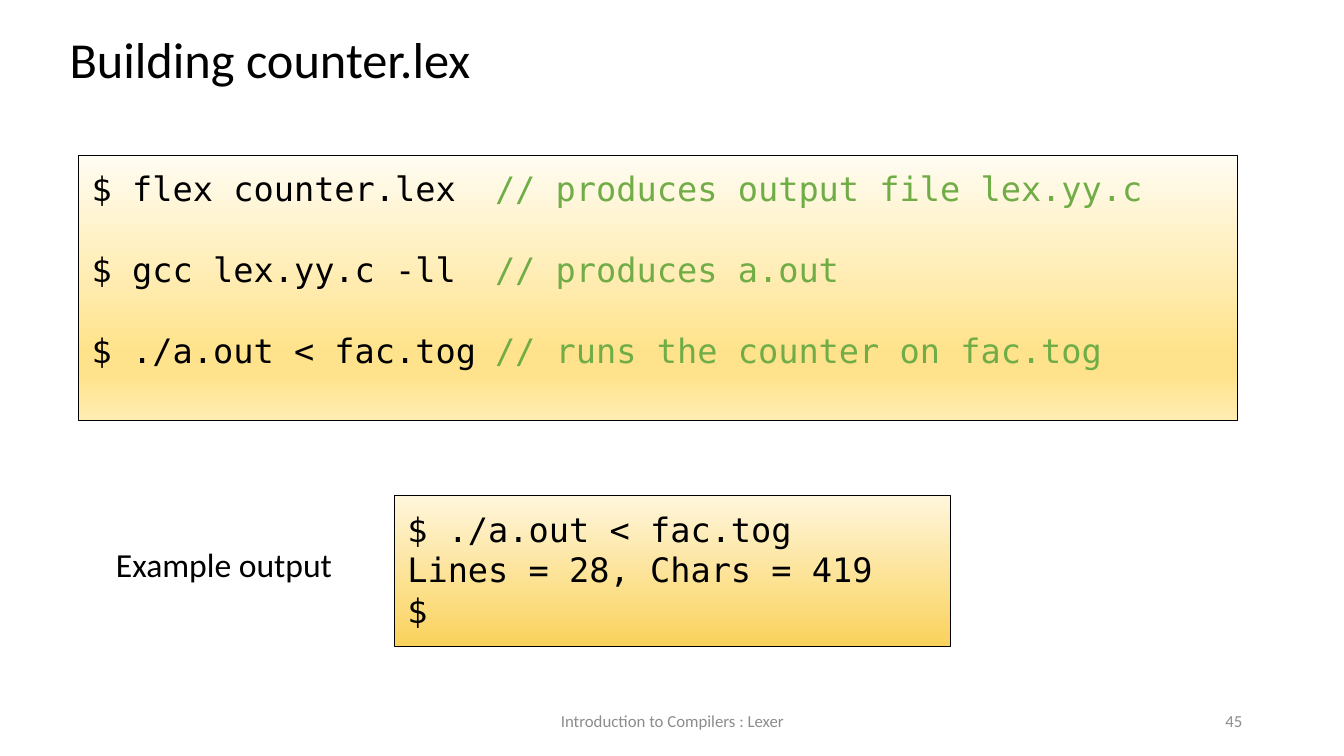
import pptx
import pptx.util
import pptx.dml.color
import pptx.enum.shapes
import pptx.enum.text
import pptx.oxml.ns
from lxml import etree

# Content: each line is a list of (text, colour) runs
WIDE, HIGH = 13.33, 7.5
BLACK, GREEN, GREY = "000000", "70AD47", "8C8C8C"
SANS, MONO = "Calibri", "DejaVu Sans Mono"

STEPS = [
    ("$ flex counter.lex", "// produces output file lex.yy.c"),
    ("$ gcc lex.yy.c -ll", "// produces a.out"),
    ("$ ./a.out < fac.tog", "// runs the counter on fac.tog"),
]
OUTPUT = ["$ ./a.out < fac.tog", "Lines = 28, Chars = 419", "$"]

# Code panels: place, gradient stops, lines, gap between lines, tab stop
PANELS = [
    ((0.78, 1.54, 11.49, 2.63),
     [(0, "FFFCF2"), (74, "FFE38C"), (83, "FFE38C"), (100, "FFECB2")],
     [[(cmd + "\t", BLACK), (note, GREEN)] for cmd, note in STEPS], 29, 4),
    ((3.91, 4.92, 5.52, 1.49),
     [(0, "FFF6DB"), (100, "FAD25C")],
     [[(line, BLACK)] for line in OUTPUT], 0, None),
]

# Plain labels: text, place, size, colour, alignment
LABELS = [
    ("Building counter.lex", (0.56, 0.15, 7.21, 1.14), 36, BLACK, "LEFT"),
    ("Example output", (1.02, 5.27, 2.74, 0.91), 24, BLACK, "LEFT"),
    ("Introduction to Compilers : Lexer", (4.42, 6.95, 4.5, 0.4), 12, GREY, "CENTER"),
    ("45", (9.42, 6.95, 3, 0.4), 12, GREY, "RIGHT"),
]

inch, points = pptx.util.Inches, pptx.util.Pt
qn = pptx.oxml.ns.qn


def color(code):
    return pptx.dml.color.RGBColor.from_string(code)


def fill_grad(shape, stops):
    """Vertical gradient with any number of stops."""
    shape.fill.gradient()
    shape.fill.gradient_angle = 270
    group = shape._element.spPr.find(".//" + qn("a:gsLst"))
    for old in list(group):
        group.remove(old)
    for share, code in stops:
        stop = etree.SubElement(group, qn("a:gs"), pos=str(share * 1000))
        etree.SubElement(stop, qn("a:srgbClr"), val=code)


def write(shape, lines, size, face, align="LEFT", gap=0, tab=None):
    frame = shape.text_frame
    frame.word_wrap = True
    anchor = pptx.enum.text.MSO_ANCHOR
    small = size < 20
    frame.vertical_anchor = anchor.MIDDLE if small else anchor.TOP
    frame.margin_left = frame.margin_right = inch(0.1 if small else 0.13)
    frame.margin_top = frame.margin_bottom = inch(0.05 if small else 0.13)
    for row, runs in enumerate(lines):
        para = frame.add_paragraph() if row else frame.paragraphs[0]
        if tab:
            tabs = etree.SubElement(para._p.get_or_add_pPr(), qn("a:tabLst"))
            etree.SubElement(tabs, qn("a:tab"), pos=str(inch(tab)), algn="l")
        para.alignment = getattr(pptx.enum.text.PP_ALIGN, align)
        if row and gap:
            para.space_before = points(gap)
        para.font.size, para.font.name = points(size), face
        para.font.color.rgb = color(runs[0][1])
        for text, code in runs:
            run = para.add_run()
            run.text = text
            if code != runs[0][1]:
                run.font.color.rgb = color(code)


def main():
    deck = pptx.Presentation()
    deck.slide_width, deck.slide_height = inch(WIDE), inch(HIGH)
    shapes = deck.slides.add_slide(deck.slide_layouts[6]).shapes

    # Code panels
    for place, stops, lines, gap, tab in PANELS:
        panel = shapes.add_shape(
            pptx.enum.shapes.MSO_SHAPE.RECTANGLE, *map(inch, place))
        panel.shadow.inherit = False
        fill_grad(panel, stops)
        panel.line.color.rgb = color(BLACK)
        panel.line.width = points(0.75)
        write(panel, lines, 24, MONO, gap=gap, tab=tab)

    # Title, caption and footer
    for text, place, size, code, align in LABELS:
        label = shapes.add_textbox(*map(inch, place))
        write(label, [[(text, code)]], size, SANS, align)

    deck.save("out.pptx")


if __name__ == "__main__":
    main()
